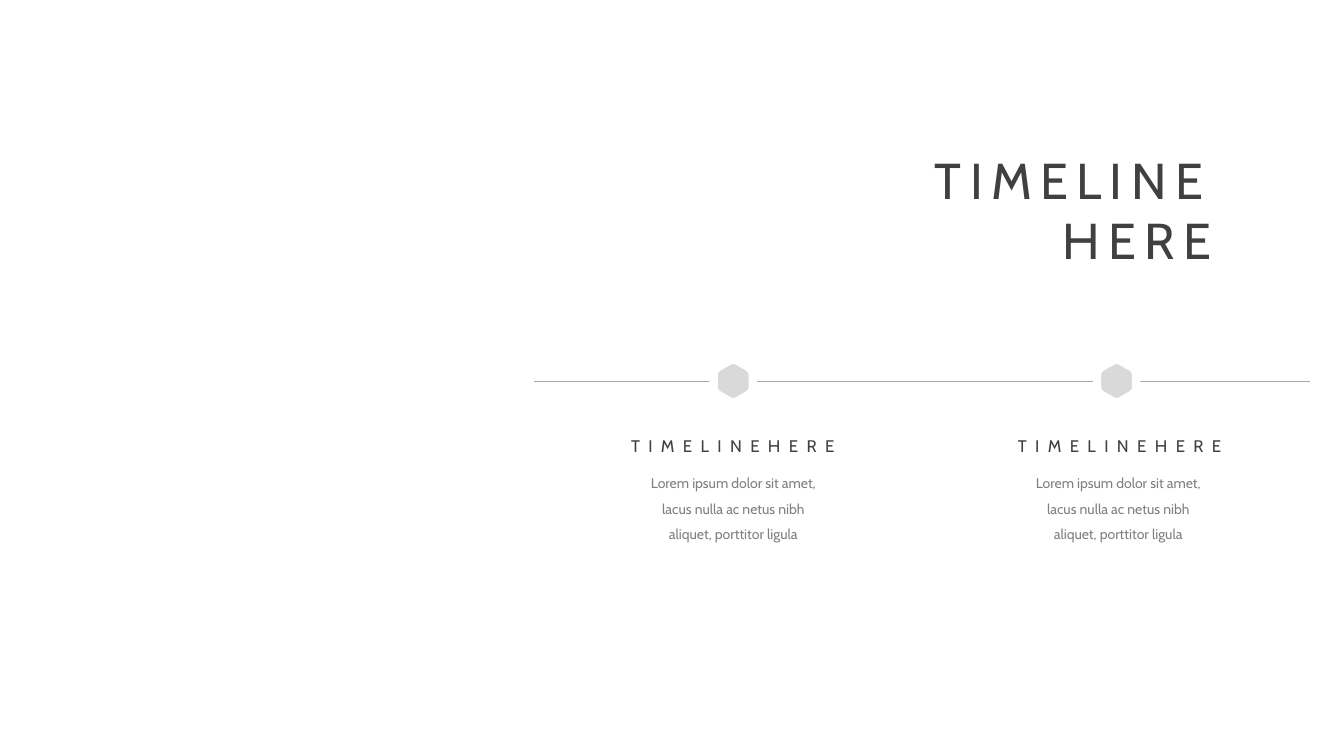
from math import cos, radians, sin

from pptx import Presentation
from pptx.dml.color import RGBColor as RGB
from pptx.enum.shapes import MSO_CONNECTOR as Link
from pptx.enum.text import MSO_ANCHOR as Anchor, MSO_AUTO_SIZE as Auto, PP_ALIGN as Align
from pptx.oxml.ns import qn
from pptx.util import Cm, Pt
from lxml.etree import SubElement

HEX = {"dark": "404040", "body": "808080", "rule": "A6A6A6", "node": "D9D9D9", "white": "FFFFFF"}
COLOR = {name: RGB.from_string(code) for name, code in HEX.items()}
LABEL = "TIMELINEHERE"
LOREM = "Lorem ipsum dolor sit amet, lacus nulla ac netus nibh aliquet, porttitor ligula"
AXIS = 9.6


class Deck:
    """Holds the font and the current slide, and draws each kind of element."""

    def __init__(self, font):
        self.font = font
        self.prs = Presentation()
        self.prs.slide_width, self.prs.slide_height = Cm(33.87), Cm(19.05)
        self.slide = self.prs.slides.add_slide(self.prs.slide_layouts[5])
        self.shapes = self.slide.shapes

    def fill_text(self, shape, text, size, color, align, track=0, space=1.0):
        frame = shape.text_frame
        frame.word_wrap = True
        frame.auto_size = Auto.SHAPE_TO_FIT_TEXT
        frame.vertical_anchor = Anchor.TOP
        para = frame.paragraphs[0]
        para.alignment, para.line_spacing = align, space
        run = para.add_run()
        run.text = text
        run.font.name, run.font.size = self.font, Pt(size)
        run.font.color.rgb = COLOR[color]
        if track:
            run._r.get_or_add_rPr().set("spc", str(track * 100))

    def title(self, text, left, top, width, height):
        shape = self.shapes.title
        shape.left, shape.top = Cm(left), Cm(top)
        shape.width, shape.height = Cm(width), Cm(height)
        self.fill_text(shape, text, 36, "dark", Align.RIGHT, track=6)

    def text(self, text, mid, top, width, height, size, color, **style):
        box = self.shapes.add_textbox(Cm(mid - width / 2), Cm(top), Cm(width), Cm(height))
        self.fill_text(box, text, size, color, Align.CENTER, **style)

    def rule(self, start, end, y):
        line = self.shapes.add_connector(Link.STRAIGHT, Cm(start), Cm(y), Cm(end), Cm(y))
        line.line.color.rgb, line.line.width = COLOR["rule"], Pt(0.5)
        SubElement(line._element.spPr, qn("a:effectLst"))

    def node(self, mid, y, radius=0.57, cut=0.25, steps=6):
        tips = [(mid + radius * sin(radians(a)), y - radius * cos(radians(a)))
                for a in range(0, 360, 60)]
        dots = []
        for i, tip in enumerate(tips):
            back, ahead = tips[i - 1], tips[(i + 1) % 6]
            for step in range(steps + 1):
                t = step / steps
                a, b = cut * (1 - t) ** 2, cut * t ** 2
                dots.append(tuple(Cm(p + a * (q - p) + b * (r - p))
                                  for p, q, r in zip(tip, back, ahead)))
        pen = self.shapes.build_freeform(*dots[0])
        pen.add_line_segments(dots[1:], close=True)
        shape = pen.convert_to_shape()
        shape.shadow.inherit = False
        shape.fill.solid()
        shape.fill.fore_color.rgb = COLOR["node"]
        shape.line.color.rgb, shape.line.width = COLOR["white"], Pt(6)


def main():
    deck = Deck("Cabin")
    deck.title(LABEL, 22.81, 3.63, 7.98, 3.33)
    deck.rule(13.46, 33.02, AXIS)
    for node, body, head in ((18.48, 18.48, 18.47), (28.14, 28.18, 28.22)):
        deck.node(node, AXIS)
        deck.text(LOREM, body, 11.63, 5.21, 2.18, 10, "body", space=1.5)
        deck.text(LABEL, head, 10.85, 6.15, 0.76, 12, "dark", track=6)
    deck.prs.save("out.pptx")


if __name__ == "__main__":
    main()
